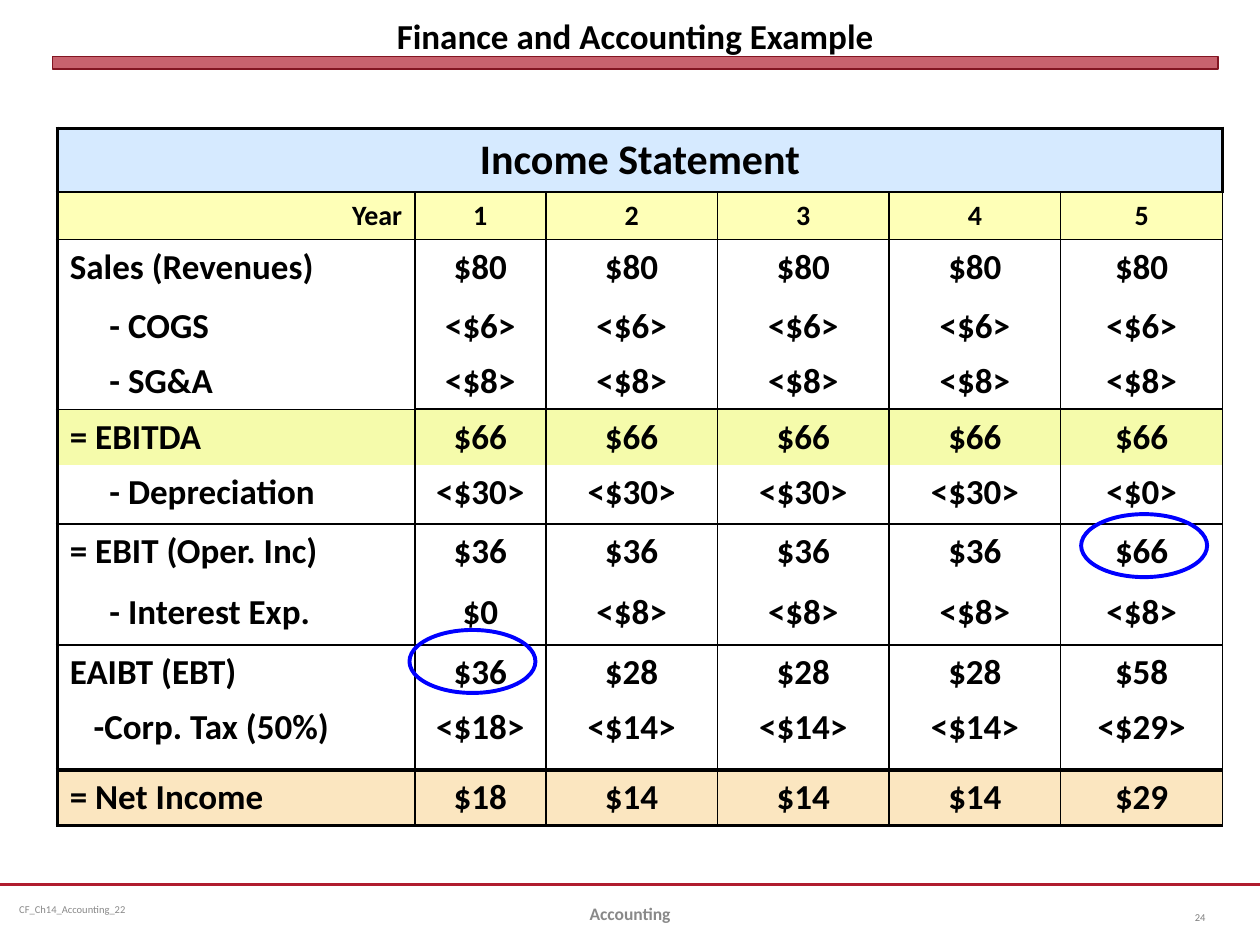
"""Build the income statement slide of the finance and accounting example."""
from lxml.etree import SubElement
from pptx import Presentation
from pptx.dml.color import RGBColor
from pptx.enum.shapes import MSO_CONNECTOR as Connector, MSO_SHAPE as Shape
from pptx.enum.text import MSO_ANCHOR as Anchor, PP_ALIGN as Align
from pptx.oxml import parse_xml
from pptx.oxml.ns import nsdecls, qn
from pptx.util import Pt


class Theme:
    font = "Calibri"
    black, red, dark_red, blue = "000000", "B01C2E", "821522", "0000FF"
    footer, number = "898989", "808080"
    header, years, subtotal, result = "D6EAFF", "FEFFB7", "F5FBAB", "FBE6C0"
    title_size, header_size, year_size, body_size = 20, 24, 16, 20
    footer_size, small_size = 10, 6
    thin, medium, thick, double = 1, 1.5, 2.25, 3


def write(text_frame, text, size, color, bold, align):
    text_frame.text = text
    paragraph = text_frame.paragraphs[0]
    paragraph.alignment = align
    font = paragraph.runs[0].font
    font.name, font.size, font.bold = Theme.font, Pt(size), bold
    font.color.rgb = RGBColor.from_string(color)


def set_borders(cell, widths):
    properties = cell._tc.get_or_add_tcPr()
    for position, (side, width) in enumerate(zip("LRTB", widths)):
        fill = (f'<a:solidFill><a:srgbClr val="{Theme.black}"/></a:solidFill>'
                if width else "<a:noFill/>")
        properties.insert(position, parse_xml(
            f'<a:ln{side} {nsdecls("a")} w="{int(Pt(width))}">{fill}</a:ln{side}>'))


presentation = Presentation()
presentation.slide_width, presentation.slide_height = Pt(720), Pt(540)
slide = presentation.slides.add_slide(presentation.slide_layouts[6])

footer_line = slide.shapes.add_connector(
    Connector.STRAIGHT, Pt(0), Pt(505.5), Pt(720), Pt(505.5))
footer_line.line.color.rgb = RGBColor.from_string(Theme.red)
footer_line.line.width = Pt(1.25)
SubElement(footer_line._element.spPr, qn("a:effectLst"))

title_bar = slide.shapes.add_shape(Shape.RECTANGLE, Pt(30), Pt(32.4), Pt(666), Pt(7))
title_bar.shadow.inherit = False
title_bar.fill.solid()
title_bar.fill.fore_color.rgb = RGBColor.from_string(Theme.red)
bar_color = title_bar._element.spPr.find(qn("a:solidFill"))[0]
SubElement(bar_color, qn("a:alpha"), val="69000")
title_bar.line.color.rgb = RGBColor.from_string(Theme.dark_red)
title_bar.line.width = Pt(0)

texts = [
    ("Finance and Accounting Example", (30, 3.6, 666, 28.8), Theme.title_size,
     Theme.black, True, Align.CENTER, Anchor.BOTTOM, (0, 0)),
    ("CF_Ch14_Accounting_22", (6, 505.5, 186, 28.8), Theme.small_size,
     Theme.footer, False, Align.LEFT, Anchor.MIDDLE, (5, 3)),
    ("Accounting", (246, 507.6, 228, 28.8), Theme.footer_size,
     Theme.footer, True, Align.CENTER, Anchor.MIDDLE, (7.2, 3.6)),
    ("24", (660, 510, 36, 28.8), Theme.small_size,
     Theme.number, False, Align.RIGHT, Anchor.MIDDLE, (7.2, 3.6)),
]
for text, bounds, size, color, bold, align, anchor, (inset_x, inset_y) in texts:
    text_box = slide.shapes.add_textbox(*map(Pt, bounds))
    text_frame = text_box.text_frame
    text_frame.word_wrap = True
    text_frame.vertical_anchor = anchor
    text_frame.margin_left = text_frame.margin_right = Pt(inset_x)
    text_frame.margin_top = text_frame.margin_bottom = Pt(inset_y)
    write(text_frame, text, size, color, bold, align)

rows = [
    (36.5, 0, Theme.header, Theme.thin, ["Income Statement"]),
    (27, 0, Theme.years, Theme.thin, ["Year", "1", "2", "3", "4", "5"]),
    (34, 0, None, 0, ["Sales (Revenues)"] + ["$80"] * 5),
    (31.6, 22.6, None, 0, ["- COGS"] + ["<$6>"] * 5),
    (31.6, 22.6, None, Theme.medium, ["- SG&A"] + ["<$8>"] * 5),
    (31.6, 0, Theme.subtotal, 0, ["= EBITDA"] + ["$66"] * 5),
    (34, 22.6, None, Theme.medium, ["- Depreciation"] + ["<$30>"] * 4 + ["<$0>"]),
    (35, 0, None, 0, ["= EBIT (Oper. Inc)"] + ["$36"] * 4 + ["$66"]),
    (34, 22.6, None, Theme.medium, ["- Interest Exp.", "$0"] + ["<$8>"] * 4),
    (31.6, 0, None, 0, ["EAIBT (EBT)", "$36"] + ["$28"] * 3 + ["$58"]),
    (40, 13.6, None, Theme.double,
     ["-Corp. Tax (50%)", "<$18>"] + ["<$14>"] * 3 + ["<$29>"]),
    (31.6, 0, Theme.result, Theme.thick,
     ["= Net Income", "$18"] + ["$14"] * 3 + ["$29"]),
]
column_widths = [204.3, 74.9, 98.1, 98.1, 98.1, 92.5]
frame = slide.shapes.add_table(
    len(rows), len(column_widths), Pt(32.7), Pt(73.3),
    Pt(sum(column_widths)), Pt(sum(row[0] for row in rows)))
table = frame.table
table.first_row = table.horz_banding = False
table._tbl.tblPr.find(qn("a:tableStyleId")).text = "{2D5ABB26-0587-4C30-8999-92F81FD0307C}"
for column, width in zip(table.columns, column_widths):
    column.width = Pt(width)

top = Theme.thick
for row_index, (height, indent, fill, bottom, values) in enumerate(rows):
    table.rows[row_index].height = Pt(height)
    for column_index in range(len(column_widths)):
        cell = table.cell(row_index, column_index)
        if column_index < len(values):
            size = {0: Theme.header_size, 1: Theme.year_size}.get(row_index, Theme.body_size)
            align = Align.CENTER
            if column_index == 0 and row_index:
                align = Align.RIGHT if row_index == 1 else Align.LEFT
                cell.margin_left = Pt(7.2 + indent)
            write(cell.text_frame, values[column_index], size, Theme.black, True, align)
        if fill:
            cell.fill.solid()
            cell.fill.fore_color.rgb = RGBColor.from_string(fill)
        else:
            cell.fill.background()
        left = Theme.thick if column_index == 0 else Theme.thin
        right = Theme.thick if row_index == 0 else Theme.thin
        edges = [top, bottom]
        if column_index == 0:
            edges = [Theme.thin if edge == Theme.medium else edge for edge in edges]
        set_borders(cell, [left, right, *edges])
    top = bottom
table.cell(0, 0).merge(table.cell(0, len(column_widths) - 1))

for left, top in [(617.8, 293.8), (234, 360)]:
    highlight = slide.shapes.add_shape(Shape.OVAL, Pt(left), Pt(top), Pt(72), Pt(36))
    highlight.shadow.inherit = False
    highlight.fill.background()
    highlight.line.color.rgb = RGBColor.from_string(Theme.blue)
    highlight.line.width = Pt(Theme.thick)

presentation.save("out.pptx")
